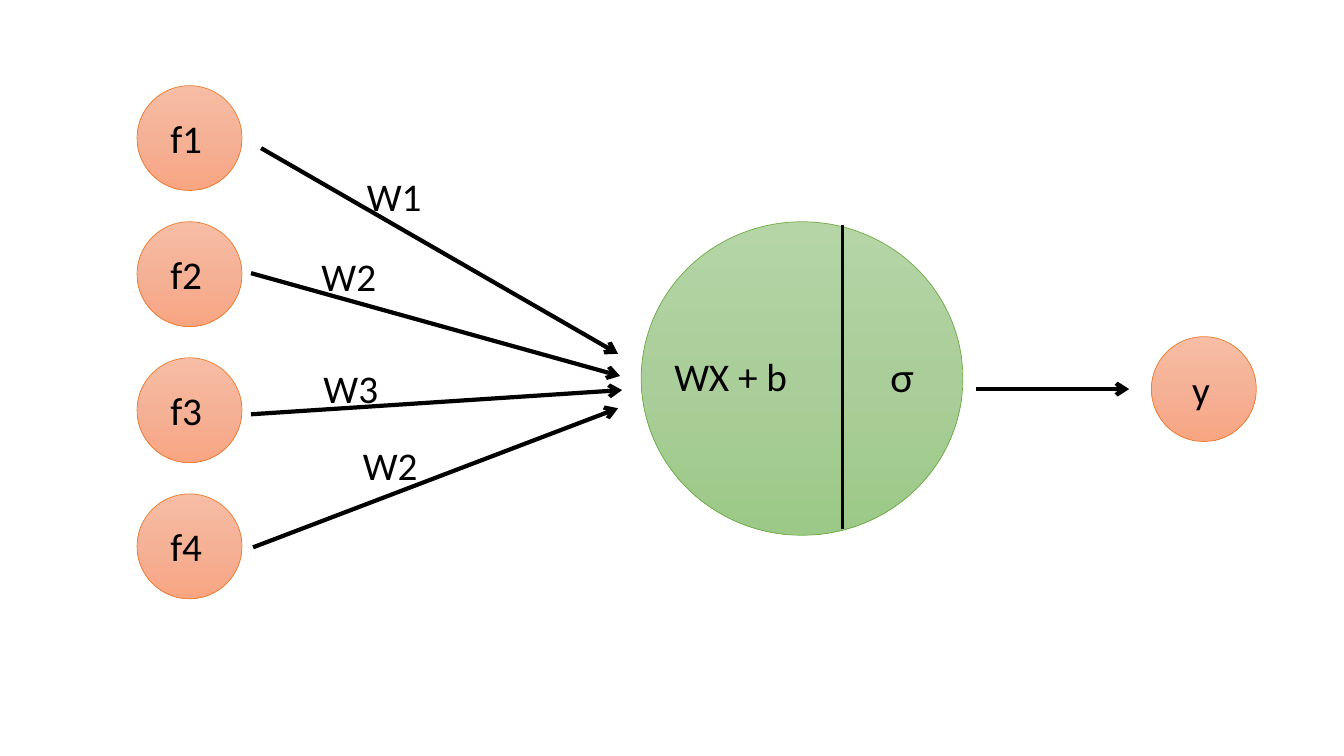
from copy import deepcopy
from dataclasses import dataclass

from pptx import Presentation
from pptx import util as u
from pptx.dml.color import RGBColor
from pptx.enum import shapes, text
from pptx.oxml import ns
from pptx.oxml.xmlchemy import OxmlElement


@dataclass(frozen=True)
class Theme:
    ink: str = "000000"
    node: tuple = ("F7BDA5", "F5B196", "F8A582")
    node_edge: str = "ED7D31"
    neuron: tuple = ("B5D5A7", "AACE9A", "9CC987")
    neuron_edge: str = "70AD47"
    font: str = "Calibri"
    symbol_font: str = "Lato"
    size: float = 28
    edge_width: float = 0.5
    divider_width: float = 2.25
    arrow_width: float = 3


THEME = Theme()
NODE_SIZE = 1.04
LABEL_HEIGHT = 0.57
INPUT_LEFT, INPUT_TOP, INPUT_STEP = 1.36, 0.85, 1.35

inputs = ["f1", "f2", "f3", "f4"]
weights = [
    ("W1", (3.54, 1.66), (2.59, 1.47), (6.13, 3.51)),
    ("W2", (3.09, 2.45), (2.49, 2.71), (6.15, 3.73)),
    ("W3", (3.11, 3.57), (2.49, 4.11), (6.17, 3.87)),
    ("W2", (3.5, 4.33), (2.51, 5.43), (6.13, 4.05)),
]
neuron = (6.36, 2.2, 3.19, 3.11)
divider = ((8.36, 2.23), (8.36, 5.25))
weighted_sum = ("WX + b", 6.59, 3.45, 1.67)
activation = ("σ", 8.73, 3.46, 0.44)
output_arrow = ((9.68, 3.86), (11.2, 3.86))
output = ("y", 11.42, 3.34)

deck = Presentation()
deck.slide_width, deck.slide_height = u.Inches(13.33), u.Inches(7.5)
slide = deck.slides.add_slide(deck.slide_layouts[6])


def add_circle(left, top, width, height, shades, edge):
    circle = slide.shapes.add_shape(
        shapes.MSO_SHAPE.OVAL, *map(u.Inches, (left, top, width, height)))
    circle.shadow.inherit = False
    circle.fill.gradient()
    circle.fill.gradient_angle = 270
    stop_list = circle._element.spPr.find(".//" + ns.qn("a:gsLst"))
    stop_list.insert(1, deepcopy(stop_list[0]))
    for stop, position, shade in zip(circle.fill.gradient_stops, (0, 0.5, 1), shades):
        stop.position = position
        stop.color.rgb = RGBColor.from_string(shade)
    circle.line.color.rgb = RGBColor.from_string(edge)
    circle.line.width = u.Pt(THEME.edge_width)


def add_label(words, left, top, width, font=THEME.font):
    label = slide.shapes.add_textbox(
        *map(u.Inches, (left, top, width, LABEL_HEIGHT)))
    frame = label.text_frame
    frame.word_wrap = False
    frame.auto_size = text.MSO_AUTO_SIZE.SHAPE_TO_FIT_TEXT
    run = frame.paragraphs[0].add_run()
    run.text = words
    run.font.name = font
    run.font.size = u.Pt(THEME.size)
    run.font.color.rgb = RGBColor.from_string(THEME.ink)


def add_node(words, left, top, label_width):
    add_circle(left, top, NODE_SIZE, NODE_SIZE, THEME.node, THEME.node_edge)
    add_label(words, left + (NODE_SIZE - label_width) / 2,
              top + (NODE_SIZE - LABEL_HEIGHT) / 2, label_width)


def add_line(start, end, width, arrow=True):
    line = slide.shapes.add_connector(
        shapes.MSO_CONNECTOR.STRAIGHT, *map(u.Inches, start + end))
    line.line.color.rgb = RGBColor.from_string(THEME.ink)
    line.line.width = u.Pt(width)
    if arrow:
        head = OxmlElement("a:tailEnd")
        head.set("type", "arrow")
        line.line._get_or_add_ln().append(head)
    line._element.spPr.append(OxmlElement("a:effectLst"))


add_circle(*neuron, THEME.neuron, THEME.neuron_edge)
for row, feature in enumerate(inputs):
    add_node(feature, INPUT_LEFT, INPUT_TOP + row * INPUT_STEP, 0.58)
for weight, place, start, end in weights:
    add_line(start, end, THEME.arrow_width)
    add_label(weight, *place, 0.83)
add_line(*divider, THEME.divider_width, arrow=False)
add_label(*weighted_sum)
add_label(*activation, THEME.symbol_font)
add_line(*output_arrow, THEME.arrow_width)
add_node(*output, 0.43)

deck.save("out.pptx")
